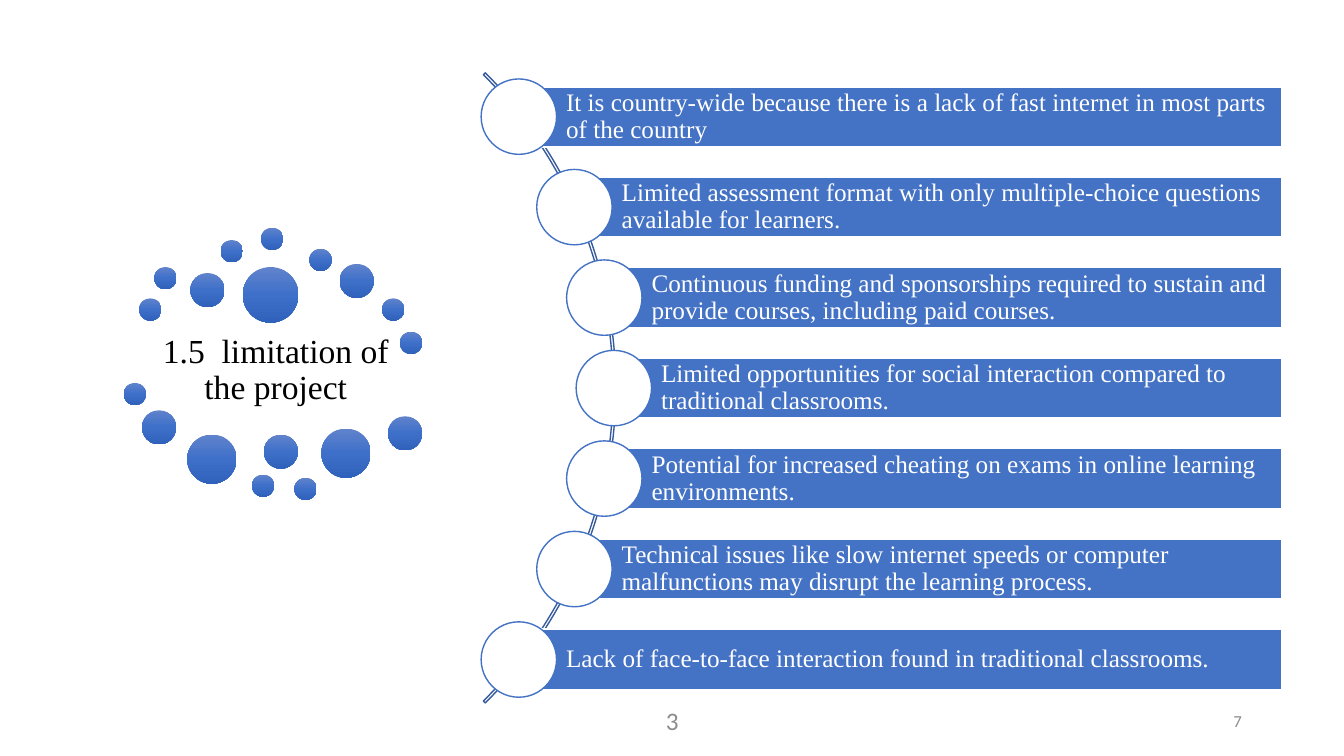
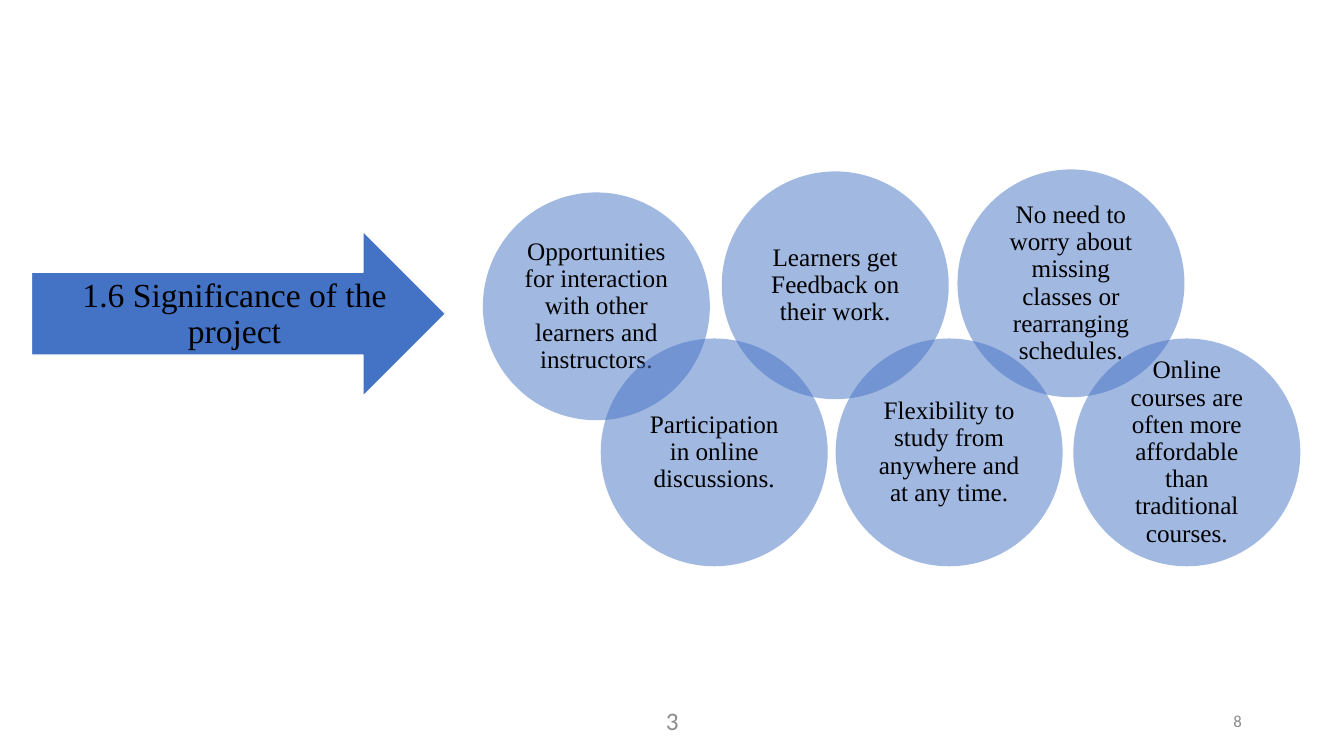
from copy import deepcopy
from math import sqrt

from lxml.etree import SubElement
from pptx import Presentation
from pptx.dml.color import RGBColor
from pptx.enum.shapes import MSO_SHAPE
from pptx.enum.text import MSO_ANCHOR, MSO_AUTO_SIZE, PP_ALIGN
from pptx.oxml.ns import qn
from pptx.util import Cm, Pt

HUES = {
    "blue": "4472C4", "navy": "365B9D", "white": "FFFFFF",
    "black": "000000", "grey": "8C8C8C",
    "top": "6183CB", "mid": "3E70CA", "low": "3062BB",
}
SERIF, SANS = "Times New Roman", "Calibri"
LEFT, MID, RIGHT = PP_ALIGN.LEFT, PP_ALIGN.CENTER, PP_ALIGN.RIGHT


def hue(name):
    return RGBColor.from_string(HUES[name])


def assign(item, values):
    for key, value in values.items():
        setattr(item, key, value)


class Deck:
    def __init__(self):
        self.prs = Presentation()
        assign(self.prs, {"slide_width": Cm(33.87), "slide_height": Cm(19.05)})
        self.slide = None

    def add(self, page):
        """Start a slide with its two footer numbers."""
        self.slide = self.prs.slides.add_slide(self.prs.slide_layouts[5])
        self.note("3", (11.23, 17.65, 11.43, 1.02), 18, MID)
        self.note(page, (23.93, 17.65, 7.62, 1.02), 12, RIGHT)

    def label(self, shape, text, size, color, align=MID, font=SERIF,
              pads=(0.25, 0.13, 0.25, 0.13), space=0.9):
        frame = shape.text_frame
        frame.text = text
        sides = ("margin_left", "margin_top", "margin_right", "margin_bottom")
        assign(frame, dict(zip(sides, map(Cm, pads))))
        assign(frame, {"word_wrap": True, "auto_size": MSO_AUTO_SIZE.NONE,
                       "vertical_anchor": MSO_ANCHOR.MIDDLE})
        para = frame.paragraphs[0]
        assign(para, {"alignment": align, "line_spacing": space})
        assign(para.font, {"name": font, "size": Pt(size), "bold": False})
        para.font.color.rgb = hue(color)

    def title(self, text, box):
        head = self.slide.shapes.title
        assign(head, dict(zip(("left", "top", "width", "height"), map(Cm, box))))
        self.label(head, text, 24, "black", pads=(0, 0, 0, 0))
        # Bring the title in front of its backdrop
        self.slide.shapes.element.append(head.element)

    def note(self, text, box, size, align):
        shape = self.slide.shapes.add_textbox(*map(Cm, box))
        self.label(shape, text, size, "grey", align, SANS, space=1.0)

    def shape(self, kind, box, fill=None, line=None, width=1, alpha=None):
        shape = self.slide.shapes.add_shape(kind, *map(Cm, box))
        shape.shadow.inherit = False
        if fill:
            shape.fill.solid()
            shape.fill.fore_color.rgb = hue(fill)
        else:
            shape.fill.background()
        if line:
            shape.line.color.rgb = hue(line)
            shape.line.width = Pt(width)
        else:
            shape.line.fill.background()
        if alpha:
            tint = shape.element.spPr.find(".//" + qn("a:srgbClr"))
            SubElement(tint, qn("a:alpha")).set("val", str(alpha * 1000))
        return shape

    def dot(self, left, top, size):
        shape = self.shape(MSO_SHAPE.OVAL, (left, top, size, size))
        shape.fill.gradient()
        shape.fill.gradient_angle = 270
        stops = shape.element.spPr.find(".//" + qn("a:gsLst"))
        stops.append(deepcopy(stops[0]))
        for stop, name, place in zip(shape.fill.gradient_stops,
                                     ("top", "mid", "low"), (0, 0.5, 1)):
            stop.color.rgb = hue(name)
            stop.position = place

    def arc(self, box):
        shape = self.shape(MSO_SHAPE.BLOCK_ARC, box, line="navy")
        for i, value in enumerate((189, 27, 0.003)):
            shape.adjustments[i] = value

    def bar(self, text, mid, axis):
        """A text bar that starts at the centre of a white disc."""
        tall, disc, end = 1.52, 1.9, 32.3
        shape = self.shape(MSO_SHAPE.RECTANGLE,
                           (mid, axis - tall / 2, end - mid, tall),
                           "blue", "white", 1.5)
        self.label(shape, text, 18, "white", LEFT, pads=(1.19, 0.13, 0.13, 0.13))
        self.shape(MSO_SHAPE.OVAL, (mid - disc / 2, axis - disc / 2, disc, disc),
                   "white", "blue")

    def disc(self, text, left, top):
        shape = self.shape(MSO_SHAPE.OVAL, (left, top, 5.72, 5.74), "blue", alpha=50)
        self.label(shape, text, 18, "black", pads=(0.18,) * 4)


# Dots as left and top, by diameter
DOTS = {
    0.56: [(3.51, 7.52), (3.89, 6.73), (5.56, 6.05), (6.58, 5.74), (7.8, 6.27),
           (9.63, 7.52), (10.08, 8.36), (3.12, 9.65), (6.35, 11.96), (7.42, 12.04)],
    0.86: [(4.8, 6.88), (8.56, 6.65), (3.58, 10.34), (6.65, 10.95), (9.78, 10.49)],
    1.24: [(4.72, 10.95), (8.1, 10.8)],
    1.4: [(6.12, 6.73)],
}
LIMITS = [
    "It is country-wide because there is a lack of fast internet in most parts of the country",
    "Limited assessment format with only multiple-choice questions available for learners.",
    "Continuous funding and sponsorships required to sustain and provide courses, "
    "including paid courses.",
    "Limited opportunities for social interaction compared to traditional classrooms.",
    "Potential for increased cheating on exams in online learning environments.",
    "Technical issues like slow internet speeds or computer malfunctions may disrupt "
    "the learning process.",
    "Lack of face-to-face interaction found in traditional classrooms.",
]
GAINS = [
    ("Opportunities for interaction with other learners and instructors.", 12.17, 4.85),
    ("Participation in online discussions.", 15.14, 8.53),
    ("Learners get Feedback on their work.", 18.19, 4.32),
    ("Flexibility to study from anywhere and at any time.", 21.06, 8.53),
    ("No need to worry about missing classes or rearranging schedules.", 24.13, 4.27),
    ("Online courses are often more affordable than traditional courses.", 27.05, 8.53),
]


def limits(deck):
    deck.add("7")
    deck.title("1.5  limitation of the project", (3.51, 7.54, 6.88, 3.58))
    for size, spots in DOTS.items():
        for left, top in spots:
            deck.dot(left, top, size)
    # Bars fan out along a curve
    deck.arc((-6.93, -1.45, 22.45, 22.45))
    hub, axis, reach, step = 4.5, 9.78, 10.97, 2.28
    for i, text in enumerate(LIMITS):
        drop = (i - len(LIMITS) // 2) * step
        deck.bar(text, hub + sqrt(reach ** 2 - drop ** 2), axis + drop)


def gains(deck):
    deck.add("8")
    deck.shape(MSO_SHAPE.RIGHT_ARROW, (0.79, 5.82, 10.44, 4.17), "blue", "white")
    deck.title("1.6 Significance of the project", (1.63, 6.88, 8.56, 2.08))
    for gain in GAINS:
        deck.disc(*gain)


def main():
    deck = Deck()
    limits(deck)
    gains(deck)
    deck.prs.save("out.pptx")


if __name__ == "__main__":
    main()
